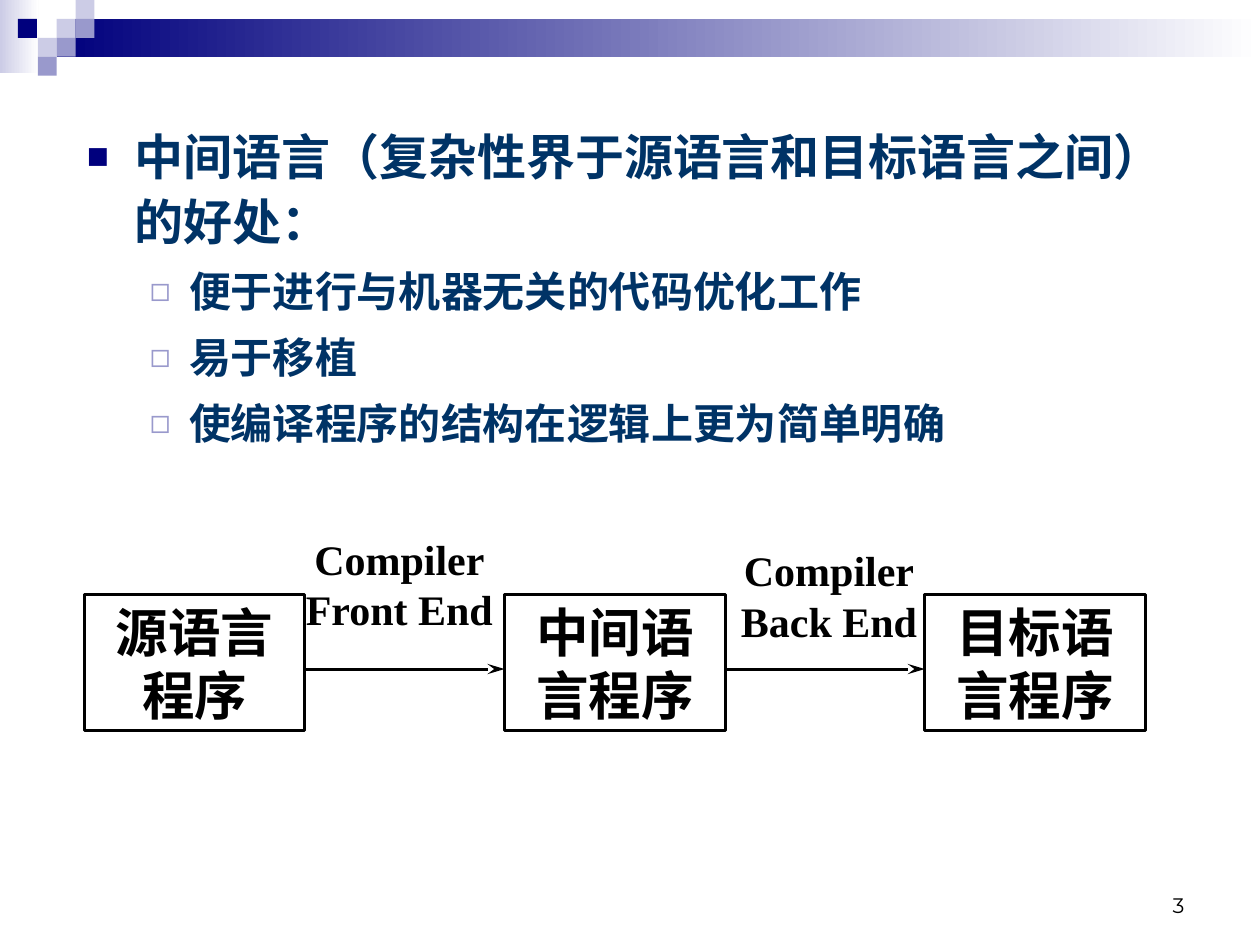
from dataclasses import dataclass
from typing import NamedTuple

from lxml.etree import SubElement
from pptx import Presentation
from pptx.dml.color import RGBColor
from pptx.enum.shapes import MSO_CONNECTOR, MSO_SHAPE
from pptx.enum.text import MSO_ANCHOR, MSO_AUTO_SIZE, PP_ALIGN
from pptx.oxml.ns import qn
from pptx.util import Inches, Pt


@dataclass(frozen=True)
class Theme:
    navy: str = "00007D"
    violet: str = "9999CC"
    pale: str = "CCCCE6"
    white: str = "FFFFFF"
    ink: str = "003366"
    black: str = "000000"
    sans: str = "Arial"
    serif: str = "Times New Roman"
    number: str = "Montserrat"
    point: int = 28
    subpoint: int = 24
    stage: int = 30
    step: int = 24
    page: int = 12
    line: float = 1.75


class Tile(NamedTuple):
    """A block of the corner ornament, in tile columns and rows."""
    col: float
    row: float
    color: str
    cols: float = 1
    rows: float = 1
    fade: bool = False


class Bullet(NamedTuple):
    char: str
    color: str
    percent: int
    size: int
    indent: float
    hang: float
    before: int
    align: PP_ALIGN


class Step(NamedTuple):
    """A compiler pass, drawn between two neighbouring stages."""
    lines: list[str]
    left: float
    top: float


T = Theme()
WIDTH, HEIGHT = 10, 7.5
TILE = 0.15
STAGE_LEFT, STAGE_TOP, STAGE_W, STAGE_H = 0.67, 4.72, 1.75, 1.08
STAGE_PITCH = 3.335
STEP_W, STEP_H = 1.6, 0.83
ARROW_Y = 5.31

TILES = [
    Tile(0, 0, T.pale, 2.05, 3.85, fade=True),
    Tile(3, 1, T.navy, WIDTH / TILE - 3, 2, fade=True),
    Tile(3, 1, T.pale), Tile(4, 0, T.pale), Tile(4, 1, T.violet),
    Tile(2, 2, T.pale), Tile(0.95, 1, T.navy), Tile(3, 2, T.violet),
    Tile(2, 3, T.violet),
]
BULLETS = [
    Bullet("■", T.navy, 75, T.point, 0.38, 0.38, 7, PP_ALIGN.LEFT),
    Bullet("◻", T.violet, 80, T.subpoint, 0.81, 0.31, 6, PP_ALIGN.JUSTIFY),
]
POINTS = [
    (0, "中间语言（复杂性界于源语言和目标语言之间）的好处："),
    (1, "便于进行与机器无关的代码优化工作"),
    (1, "易于移植"),
    (1, "使编译程序的结构在逻辑上更为简单明确"),
]
STAGES = [["源语言", "程序"], ["中间语", "言程序"], ["目标语", "言程序"]]
STEPS = [Step(["Compiler", "Front End"], 2.37, 4.22),
         Step(["Compiler", "Back End"], 5.78, 4.31)]


def rgb(color: str) -> RGBColor:
    return RGBColor.from_string(color)


def add_run(p, text: str, size: int, font: str, color: str, bold: bool) -> None:
    r = p.add_run()
    r.text = text
    r.font.size, r.font.name, r.font.bold = Pt(size), font, bold
    r.font.color.rgb = rgb(color)


def write_lines(s, lines: list[str], size: int, font: str = T.serif,
                bold: bool = True, align=PP_ALIGN.CENTER,
                anchor=MSO_ANCHOR.MIDDLE) -> None:
    tf = s.text_frame
    tf.word_wrap, tf.vertical_anchor = True, anchor
    for i, line in enumerate(lines):
        p = tf.paragraphs[0] if i == 0 else tf.add_paragraph()
        p.alignment = align
        add_run(p, line, size, font, T.black, bold)


def add_tile(shapes, tile: Tile) -> None:
    s = shapes.add_shape(MSO_SHAPE.RECTANGLE, *(
        Inches(n * TILE) for n in (tile.col, tile.row, tile.cols, tile.rows)))
    s.shadow.inherit = False
    s.line.fill.background()
    if tile.fade:
        s.fill.gradient()
        s.fill.gradient_angle = 0
        for stop, color in zip(s.fill.gradient_stops, (tile.color, T.white)):
            stop.color.rgb = rgb(color)
    else:
        s.fill.solid()
        s.fill.fore_color.rgb = rgb(tile.color)


def set_bullet(p, bullet: Bullet) -> None:
    pPr = p._p.get_or_add_pPr()
    pPr.set("marL", str(Inches(bullet.indent)))
    pPr.set("indent", str(-Inches(bullet.hang)))
    clr = SubElement(pPr, qn("a:buClr"))
    SubElement(clr, qn("a:srgbClr"), val=bullet.color)
    SubElement(pPr, qn("a:buSzPct"), val=str(bullet.percent * 1000))
    SubElement(pPr, qn("a:buFont"), typeface=T.sans)
    SubElement(pPr, qn("a:buChar"), char=bullet.char)


def fill_body(body) -> None:
    body.left, body.top = Inches(0.59), Inches(0.91)
    body.width, body.height = Inches(8.75), Inches(2.83)
    tf = body.text_frame
    tf.auto_size = MSO_AUTO_SIZE.NONE
    for i, (level, text) in enumerate(POINTS):
        p = tf.paragraphs[0] if i == 0 else tf.add_paragraph()
        bullet = BULLETS[level]
        p.level, p.alignment, p.line_spacing = level, bullet.align, 1.1
        p.space_before = Pt(bullet.before if i else 0)
        set_bullet(p, bullet)
        add_run(p, text, bullet.size, T.sans, T.ink, True)


def stage_left(index: int) -> float:
    return STAGE_LEFT + index * STAGE_PITCH


def add_stage(shapes, index: int, lines: list[str]) -> None:
    s = shapes.add_shape(MSO_SHAPE.RECTANGLE, Inches(stage_left(index)),
                         Inches(STAGE_TOP), Inches(STAGE_W), Inches(STAGE_H))
    s.shadow.inherit = False
    s.fill.background()
    s.line.color.rgb, s.line.width = rgb(T.black), Pt(T.line)
    write_lines(s, lines, T.stage)


def add_step(shapes, index: int, step: Step) -> None:
    y = Inches(ARROW_Y)
    arrow = shapes.add_connector(
        MSO_CONNECTOR.STRAIGHT, Inches(stage_left(index) + STAGE_W), y,
        Inches(stage_left(index + 1)), y)
    arrow.line.color.rgb, arrow.line.width = rgb(T.black), Pt(T.line)
    SubElement(arrow.line._get_or_add_ln(), qn("a:tailEnd"),
               type="stealth", len="lg")
    SubElement(arrow._element.spPr, qn("a:effectLst"))
    label = shapes.add_textbox(Inches(step.left), Inches(step.top),
                               Inches(STEP_W), Inches(STEP_H))
    # The label needs the full width between the stages
    label.text_frame.margin_left = label.text_frame.margin_right = 0
    write_lines(label, step.lines, T.step)


def main() -> None:
    prs = Presentation()
    prs.slide_width, prs.slide_height = Inches(WIDTH), Inches(HEIGHT)
    slide = prs.slides.add_slide(prs.slide_layouts[1])
    shapes = slide.shapes
    title = shapes.title._element
    title.getparent().remove(title)

    # Corner ornament and header band
    for tile in TILES:
        add_tile(shapes, tile)

    # Benefits list
    fill_body(slide.placeholders[1])

    # Compiler pipeline
    for i, lines in enumerate(STAGES):
        add_stage(shapes, i, lines)
    for i, step in enumerate(STEPS):
        add_step(shapes, i, step)

    # Page number
    page = shapes.add_textbox(Inches(7.17), Inches(6.83), Inches(2.33), Inches(0.5))
    write_lines(page, ["3"], T.page, T.number, False, PP_ALIGN.RIGHT,
                MSO_ANCHOR.BOTTOM)
    prs.save("out.pptx")


if __name__ == "__main__":
    main()
